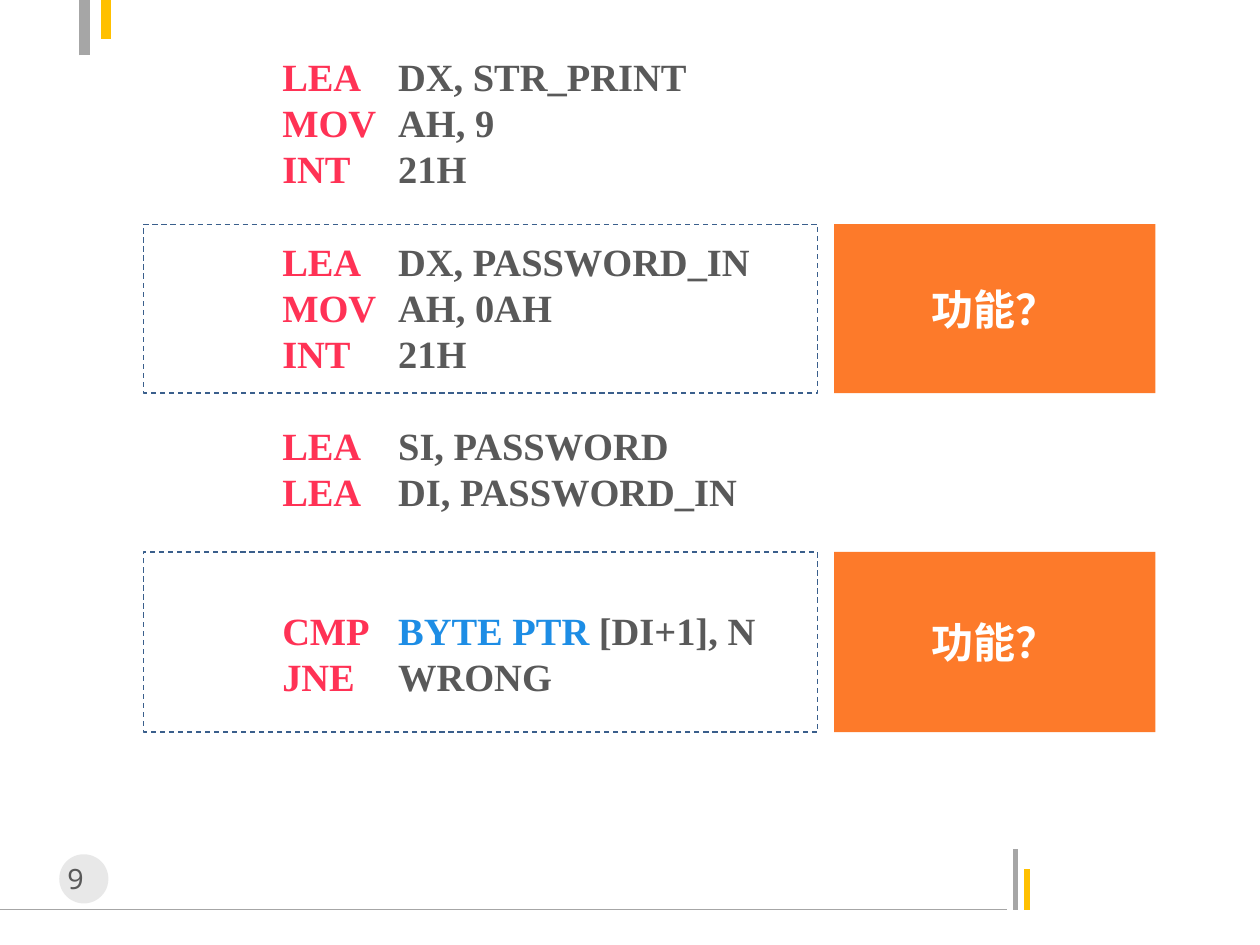
"""Build the assembly-code quiz slide with two question panels."""
from lxml import etree
from pptx import Presentation
from pptx.dml.color import RGBColor
from pptx.enum.dml import MSO_LINE
from pptx.enum.shapes import MSO_CONNECTOR, MSO_SHAPE
from pptx.enum.text import MSO_ANCHOR, PP_ALIGN
from pptx.oxml.ns import qn
from pptx.util import Inches, Pt

RECTANGLE, OVAL = MSO_SHAPE.RECTANGLE, MSO_SHAPE.OVAL
STRAIGHT, DASH = MSO_CONNECTOR.STRAIGHT, MSO_LINE.DASH
CENTER, MIDDLE = PP_ALIGN.CENTER, MSO_ANCHOR.MIDDLE

THEME = {
    "rule": "A6A6A6", "accent": "FFC000", "badge": "BFBFBF", "text": "595959",
    "opcode": "FF3255", "keyword": "1D8DE5", "frame": "3A5F8C",
    "panel": "FD7A2A", "white": "FFFFFF",
    "code_font": "Times New Roman", "page_font": "Noto Sans Mono", "panel_font": "Calibri",
    "code_size": 22, "code_pitch": 26.4, "page_size": 16, "panel_size": 24,
}

deck = Presentation()
deck.slide_width, deck.slide_height = Inches(10), Inches(7.5)
slide = deck.slides.add_slide(deck.slide_layouts[6])
shapes = slide.shapes


def place(x, y, *more):
    """Turn percentages of the slide's width and height into lengths."""
    sides = (deck.slide_width, deck.slide_height) * 2
    return [round(side * share / 100) for side, share in zip(sides, (x, y, *more))]


def write(paragraph, words, face, size, color, bold=False):
    """Append one styled run to a paragraph."""
    run = paragraph.add_run()
    run.text = words
    run.font.name = THEME[face]
    run.font.size = Pt(THEME[size])
    run.font.bold = bold
    run.font.color.rgb = RGBColor.from_string(THEME[color])


rules = [
    (0, 96.27, 79.9, 96.27, "rule", 0.75),
    (80.6, 96.27, 80.6, 89.87, "rule", 3),
    (81.5, 96.27, 81.5, 92, "accent", 3),
    (6.7, 5.87, 6.7, 0, "rule", 6),
    (8.4, 0, 8.4, 4.13, "accent", 6),
]
for *ends, color, weight in rules:
    rule = shapes.add_connector(STRAIGHT, *place(*ends))
    rule.line.color.rgb = RGBColor.from_string(THEME[color])
    rule.line.width = Pt(weight)
    etree.SubElement(rule._element.spPr, qn("a:effectLst"))

badge = shapes.add_shape(OVAL, *place(4.7, 90.4, 3.9, 5.2))
badge.shadow.inherit = False
badge.fill.solid()
badge.fill.fore_color.rgb = RGBColor.from_string(THEME["badge"])
badge.line.fill.background()
tint = badge._element.spPr.find(qn("a:solidFill"))[0]
etree.SubElement(tint, qn("a:alpha"), val="35000")

page = shapes.add_textbox(*place(3.1, 90.53, 7.1, 4.93)).text_frame
page.word_wrap = True
page.margin_right = Inches(0.23)
page.paragraphs[0].alignment = CENTER
write(page.paragraphs[0], "9", "page_font", "page_size", "text")

code_groups = [
    (0, [("LEA", "", "DX, STR_PRINT"), ("MOV", "", "AH, 9"), ("INT", "", "21H")]),
    (1, [("LEA", "", "DX, PASSWORD_IN"), ("MOV", "", "AH, 0AH"), ("INT", "", "21H")]),
    (1, [("LEA", "", "SI, PASSWORD"), ("LEA", "", "DI, PASSWORD_IN")]),
    (2, [("CMP", "BYTE PTR ", "[DI+1], N"), ("JNE", "", "WRONG")]),
]
code = shapes.add_textbox(*place(13, 4.93, 60.1, 70.4)).text_frame
code.word_wrap = True
code.margin_left = Inches(0.94)
instruction = code.paragraphs[0]
for group_index, (gap_lines, instructions) in enumerate(code_groups):
    for line_index, (opcode, keyword, operands) in enumerate(instructions):
        if group_index or line_index:
            instruction = code.add_paragraph()
        instruction.line_spacing = Pt(THEME["code_pitch"])
        if gap_lines and not line_index:
            instruction.space_before = Pt(gap_lines * THEME["code_pitch"])
        tabs = etree.SubElement(instruction._p.get_or_add_pPr(), qn("a:tabLst"))
        etree.SubElement(tabs, qn("a:tab"), pos=str(Inches(0.92)), algn="l")
        write(instruction, opcode + "\t", "code_font", "code_size", "opcode", True)
        if keyword:
            write(instruction, keyword, "code_font", "code_size", "keyword", True)
        write(instruction, operands, "code_font", "code_size", "text", True)

for top, height in [(23.73, 17.87), (58.4, 19.07)]:
    frame = shapes.add_shape(RECTANGLE, *place(11.4, top, 53.5, height))
    frame.shadow.inherit = False
    frame.fill.background()
    frame.line.color.rgb = RGBColor.from_string(THEME["frame"])
    frame.line.width = Pt(0.75)
    frame.line.dash_style = DASH

    question = shapes.add_shape(RECTANGLE, *place(66.2, top, 25.5, height))
    question.shadow.inherit = False
    question.fill.solid()
    question.fill.fore_color.rgb = RGBColor.from_string(THEME["panel"])
    question.line.fill.background()
    question.text_frame.vertical_anchor = MIDDLE
    prompt = question.text_frame.paragraphs[0]
    prompt.alignment = CENTER
    write(prompt, "功能？", "panel_font", "panel_size", "white", True)

deck.save("out.pptx")
